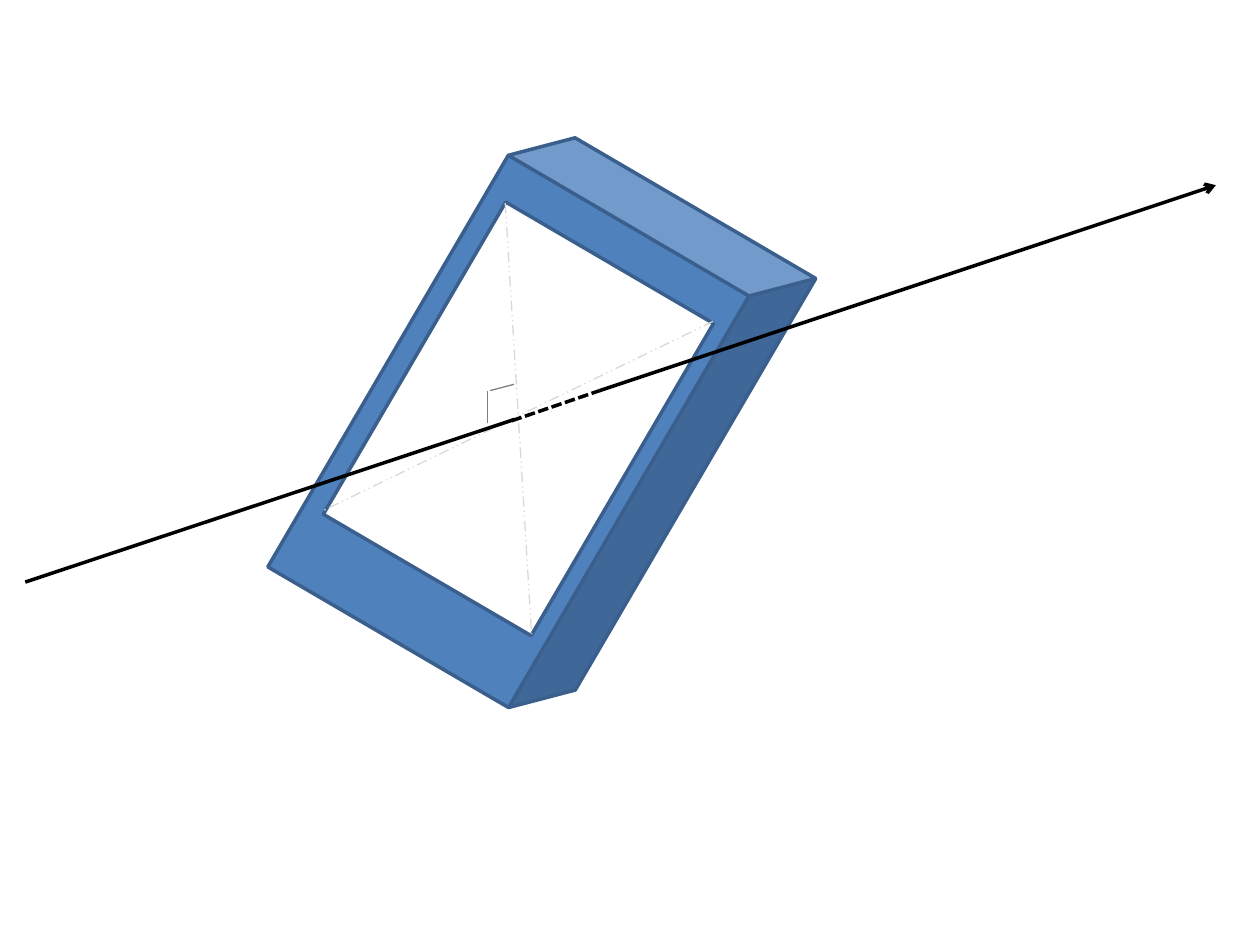
from lxml import etree
from pptx import Presentation
from pptx.dml.color import RGBColor
from pptx.enum.dml import MSO_LINE
from pptx.enum.shapes import MSO_CONNECTOR, MSO_SHAPE
from pptx.oxml.ns import qn
from pptx.util import Inches, Pt

CUBE = MSO_SHAPE.CUBE
RECTANGLE = MSO_SHAPE.RECTANGLE
STRAIGHT = MSO_CONNECTOR.STRAIGHT
DASH_DOT_DOT = MSO_LINE.DASH_DOT_DOT
SHORT_DASH = MSO_LINE.SQUARE_DOT

BODY_BLUE = "4F81BD"
EDGE_BLUE = "3A5F8C"
WHITE = "FFFFFF"
BLACK = "000000"
PALE_GRAY = "D9D9D9"
MID_GRAY = "808080"
TILT = 30.3


def color(hex_string):
    return RGBColor.from_string(hex_string)


def add_tilted_shape(parent, kind, left, top, width, height, fill):
    shape = parent.shapes.add_shape(
        kind, Inches(left), Inches(top), Inches(width), Inches(height))
    shape.rotation = TILT
    shape.shadow.inherit = False
    shape.fill.solid()
    shape.fill.fore_color.rgb = color(fill)
    shape.line.color.rgb = color(EDGE_BLUE)
    shape.line.width = Pt(2)
    return shape


def add_line(parent, start, end, stroke, width, dash=None, arrow=False):
    points = [Inches(value) for value in (*start, *end)]
    line = parent.shapes.add_connector(STRAIGHT, *points)
    line.line.color.rgb = color(stroke)
    line.line.width = Pt(width)
    if dash is not None:
        line.line.dash_style = dash
    properties = line.element.spPr
    if arrow:
        outline = properties.find(qn("a:ln"))
        etree.SubElement(outline, qn("a:tailEnd"), type="arrow")
    etree.SubElement(properties, qn("a:effectLst"))


def add_device(page):
    device = page.shapes.add_group_shape()
    body = add_tilted_shape(device, CUBE, 3, 1.27, 2.6, 4.17, BODY_BLUE)
    body.adjustments[0] = 0.149
    add_tilted_shape(device, RECTANGLE, 3.16, 1.89, 1.91, 2.87, WHITE)
    for start, end in (((4.01, 1.61), (4.22, 5.04)),
                       ((5.66, 2.55), (2.57, 4.05))):
        add_line(device, start, end, PALE_GRAY, 0.75, DASH_DOT_DOT)


def add_axis(page):
    add_line(page, (0.2, 4.62), (4.08, 3.33), BLACK, 2)
    add_line(page, (4.06, 3.34), (4.76, 3.1), BLACK, 2, SHORT_DASH)
    add_line(page, (4.76, 3.1), (9.65, 1.47), BLACK, 2, arrow=True)


def add_right_angle(page):
    mark = page.shapes.add_group_shape()
    add_line(mark, (3.87, 3.36), (3.87, 3.1), MID_GRAY, 0.75)
    add_line(mark, (4.08, 3.05), (3.89, 3.1), MID_GRAY, 0.75)


def main():
    deck = Presentation()
    deck.slide_width = Inches(10)
    deck.slide_height = Inches(7.5)
    page = deck.slides.add_slide(deck.slide_layouts[6])
    add_device(page)
    add_axis(page)
    add_right_angle(page)
    deck.save("out.pptx")


if __name__ == "__main__":
    main()
